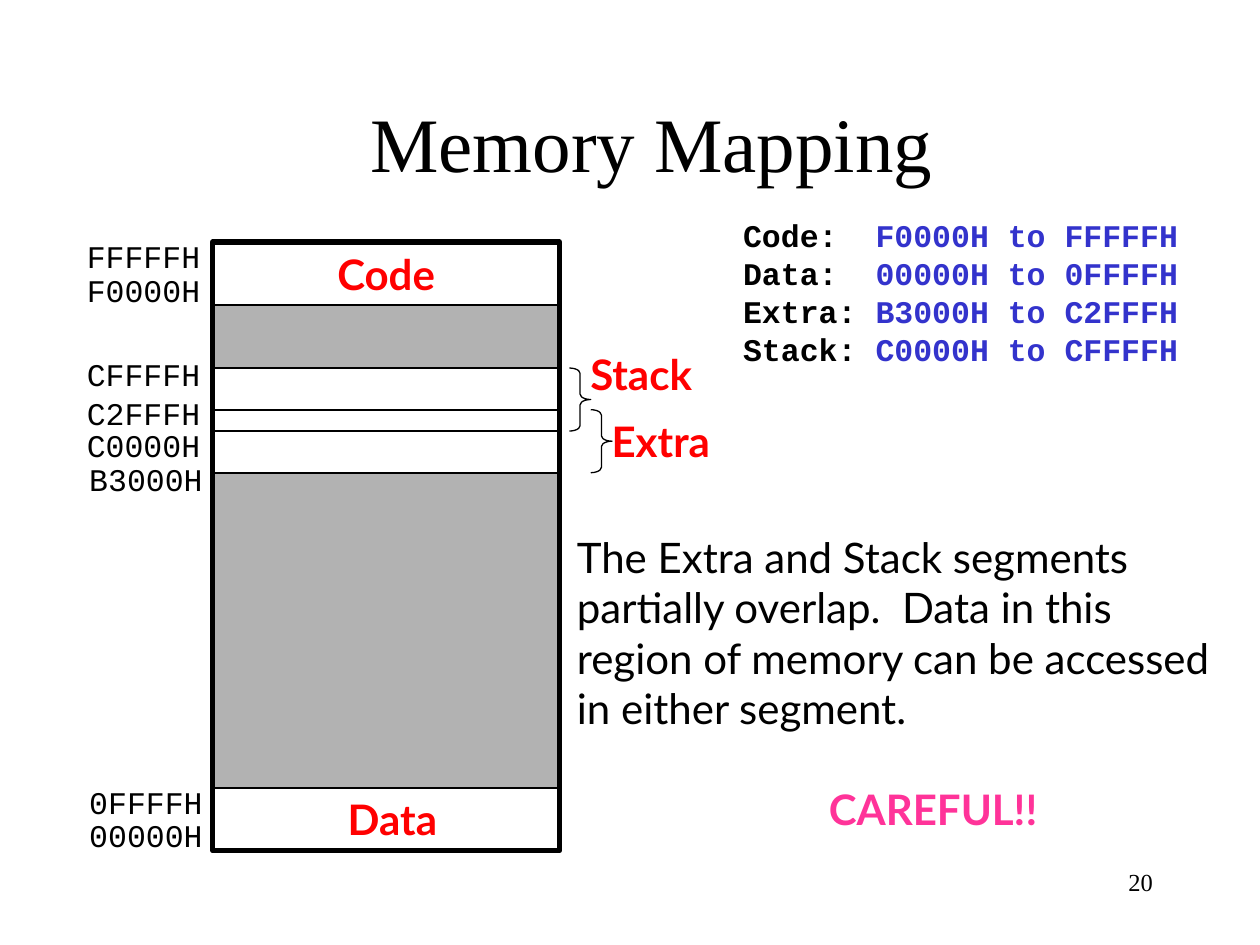
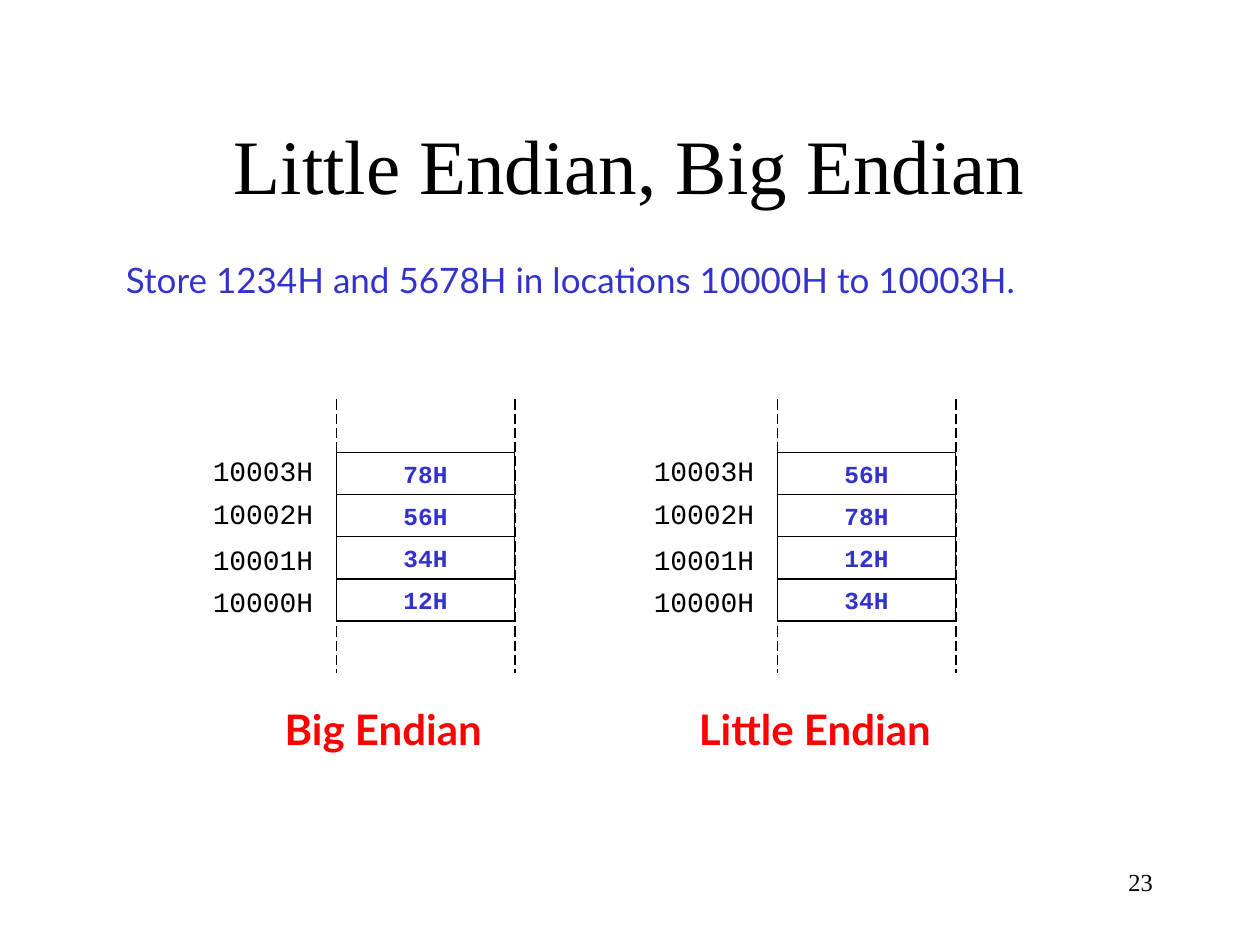
from dataclasses import dataclass
from typing import NamedTuple

from lxml.etree import SubElement
from pptx import Presentation
from pptx.dml.color import RGBColor as Rgb
from pptx.enum.dml import MSO_LINE as Dash
from pptx.enum.shapes import MSO_CONNECTOR as Link, MSO_SHAPE as Kind
from pptx.enum.text import MSO_ANCHOR as Anchor, MSO_AUTO_SIZE as Fit, PP_ALIGN as Align
from pptx.oxml.ns import qn
from pptx.util import Cm, Pt


class Style(NamedTuple):
    font: str
    size: int
    color: Rgb
    bold: bool = False


@dataclass(frozen=True)
class Theme:
    black: Rgb = Rgb(0x00, 0x00, 0x00)
    blue: Rgb = Rgb(0x33, 0x33, 0xCC)
    red: Rgb = Rgb(0xFF, 0x00, 0x00)
    pink: Rgb = Rgb(0xFF, 0x33, 0x99)
    gray: Rgb = Rgb(0xB2, 0xB2, 0xB2)
    serif: str = "Times New Roman"
    sans: str = "Lato"
    mono: str = "Courier New"
    thin: float = 0.75
    rule: float = 1
    thick: float = 3

    @property
    def title(self) -> Style:
        return Style(self.serif, 44, self.black)

    @property
    def number(self) -> Style:
        return Style(self.serif, 14, self.black)

    @property
    def body(self) -> Style:
        return Style(self.sans, 24, self.black)

    @property
    def lead(self) -> Style:
        return Style(self.sans, 20, self.blue)

    @property
    def name(self) -> Style:
        return Style(self.sans, 24, self.red, True)

    @property
    def alert(self) -> Style:
        return Style(self.sans, 24, self.pink, True)

    @property
    def spot(self) -> Style:
        return Style(self.mono, 18, self.black)

    @property
    def range(self) -> Style:
        return Style(self.mono, 18, self.black, True)

    @property
    def place(self) -> Style:
        return Style(self.mono, 16, self.black)

    @property
    def byte(self) -> Style:
        return Style(self.mono, 14, self.blue, True)


T = Theme()


class Box(NamedTuple):
    left: float
    top: float
    width: float
    height: float

    def cm(self) -> list:
        return [Cm(side) for side in self]


class Label(NamedTuple):
    text: str
    box: Box
    style: Style


class Area(NamedTuple):
    top: float
    height: float
    text: str = ""


class Stack(NamedTuple):
    name: str
    left: float
    name_left: float
    data: tuple


# Shared drawing functions
def style_par(par, style: Style, align=Align.LEFT) -> None:
    par.alignment = align
    font = par.font
    font.name, font.size, font.bold = style.font, Pt(style.size), style.bold
    font.color.rgb = style.color


def add_text(slide, label: Label, align=Align.LEFT) -> None:
    frame = slide.shapes.add_textbox(*label.box.cm()).text_frame
    frame.word_wrap = True
    par = frame.paragraphs[0]
    par.text = label.text
    style_par(par, label.style, align)


def add_rect(slide, box: Box, width: float = 0, fill=None, kind=Kind.RECTANGLE):
    shape = slide.shapes.add_shape(kind, *box.cm())
    shape.shadow.inherit = False
    if fill is None:
        shape.fill.background()
    else:
        shape.fill.solid()
        shape.fill.fore_color.rgb = fill
    if width:
        shape.line.color.rgb = T.black
        shape.line.width = Pt(width)
    else:
        shape.line.fill.background()
    return shape


def fill_rect(shape, text: str, style: Style) -> None:
    frame = shape.text_frame
    frame.vertical_anchor = Anchor.MIDDLE
    par = frame.paragraphs[0]
    par.text = text
    style_par(par, style, Align.CENTER)


def add_dash(slide, x: float, top: float, end: float) -> None:
    line = slide.shapes.add_connector(Link.STRAIGHT, Cm(x), Cm(top), Cm(x), Cm(end))
    line.line.color.rgb = T.black
    line.line.width = Pt(T.thin)
    line.line.dash_style = Dash.LONG_DASH
    SubElement(line._element.spPr, qn("a:effectLst"))


def add_slide(deck, title: str, box: Box, number: str):
    slide = deck.slides.add_slide(deck.slide_layouts.get_by_name("Title Only"))
    head = slide.shapes.title
    head.left, head.top, head.width, head.height = box.cm()
    frame = head.text_frame
    frame.auto_size = Fit.NONE
    frame.vertical_anchor = Anchor.MIDDLE
    frame.text = title
    style_par(frame.paragraphs[0], T.title, Align.CENTER)
    add_text(slide, Label(number, Box(18.21, 17.35, 5.28, 1.27), T.number), Align.RIGHT)
    return slide


# Memory map
MAP_X, MAP_W, MAP_TOP, MAP_H = 4.29, 6.99, 4.88, 12.27
UNIT = 1.27
GAPS = (Area(6.15, UNIT), Area(9.53, 6.35))
PARTS = (Area(MAP_TOP, UNIT, "Code"), Area(7.42, UNIT), Area(8.26, UNIT),
         Area(15.88, UNIT))
SPOTS = (("FFFFFH", 1.5, 4.65), ("F0000H", 1.5, 5.33), ("CFFFFH", 1.5, 7.04),
         ("C2FFFH", 1.5, 7.82), ("C0000H", 1.5, 8.46), ("B3000H", 1.55, 9.14),
         ("0FFFFH", 1.55, 15.67), ("00000H", 1.55, 16.33))
BRACES = (Box(11.48, 7.42, 0.43, UNIT), Box(11.91, 8.26, 0.43, UNIT))
NOTES = (
    Label("Data", Box(6.76, 15.88, 3, UNIT), T.name),
    Label("Stack", Box(11.65, 6.91, 3, UNIT), T.name),
    Label("Extra", Box(12.08, 8.26, 3, UNIT), T.name),
    Label("The Extra and Stack segments\vpartially overlap.  Data in this\v"
          "region of memory can be accessed\vin either segment.",
          Box(11.38, 10.59, 13.7, 4.32), T.body),
    Label("CAREFUL!!", Box(16.46, 15.67, 5, UNIT), T.alert),
)
RANGES = (("Code:", "F0000H to FFFFFH"), ("Data:", "00000H to 0FFFFH"),
          ("Extra:", "B3000H to C2FFFH"), ("Stack:", "C0000H to CFFFFH"))


def add_ranges(slide, box: Box, tab: float) -> None:
    frame = slide.shapes.add_textbox(*box.cm()).text_frame
    frame.word_wrap = True
    for i, (name, span) in enumerate(RANGES):
        par = frame.add_paragraph() if i else frame.paragraphs[0]
        stops = SubElement(par._p.get_or_add_pPr(), qn("a:tabLst"))
        SubElement(stops, qn("a:tab"), pos=str(Cm(tab)), algn="l")
        style_par(par, T.range)
        par.add_run().text = name + "\t"
        run = par.add_run()
        run.text = span
        run.font.color.rgb = T.blue


def draw_map(deck) -> None:
    slide = add_slide(deck, "Memory Mapping", Box(2.34, 1.27, 21.59, 3.18), "20")
    for gap in GAPS:
        add_rect(slide, Box(MAP_X, gap.top, MAP_W, gap.height), fill=T.gray)
    add_rect(slide, Box(MAP_X, MAP_TOP, MAP_W, MAP_H), T.thick)
    for part in PARTS:
        rect = add_rect(slide, Box(MAP_X, part.top, MAP_W, part.height), T.rule)
        if part.text:
            fill_rect(rect, part.text, T.name)
    for box in BRACES:
        brace = add_rect(slide, box, T.thin, kind=Kind.RIGHT_BRACE)
        brace.adjustments[0] = 0.25
    for text, left, top in SPOTS:
        add_text(slide, Label(text, Box(left, top, 2.9, 1.02), T.spot))
    for note in NOTES:
        add_text(slide, note)
    add_ranges(slide, Box(14.73, 4.24, 9.6, 3.3), 2.67)


# Byte order
CELL_W, CELL_H, CELL_TOP = 3.6, 0.85, 9.12
DASH_TOP, DASH_END = 8.05, 13.56
PLACES = (("10003H", 9.02), ("10002H", 9.88), ("10001H", 10.82), ("10000H", 11.66))
STACKS = (Stack("Big Endian", 6.78, 5.49, ("78H", "56H", "34H", "12H")),
          Stack("Little Endian", 15.67, 13.84, ("56H", "78H", "12H", "34H")))


def add_stack(slide, stack: Stack) -> None:
    for x in (stack.left, stack.left + CELL_W):
        add_dash(slide, x, DASH_TOP, DASH_END)
    for i, (byte, (place, top)) in enumerate(zip(stack.data, PLACES)):
        cell = add_rect(slide, Box(stack.left, CELL_TOP + i * CELL_H, CELL_W, CELL_H),
                        T.thin)
        fill_rect(cell, byte, T.byte)
        add_text(slide, Label(place, Box(stack.left - 2.74, top, 2.7, 0.94), T.place))
    add_text(slide, Label(stack.name, Box(stack.name_left, 14.05, 6, UNIT), T.name))


def draw_order(deck) -> None:
    slide = add_slide(deck, "Little Endian, Big Endian",
                      Box(1.9, 1.7, 21.59, 3.18), "23")
    add_text(slide, Label("Store 1234H and 5678H in locations 10000H to 10003H.",
                          Box(2.29, 5.08, 20, 1.12), T.lead))
    for stack in STACKS:
        add_stack(slide, stack)


def main() -> None:
    deck = Presentation()
    deck.slide_width, deck.slide_height = Cm(25.4), Cm(19.05)
    draw_map(deck)
    draw_order(deck)
    deck.save("out.pptx")


if __name__ == "__main__":
    main()
